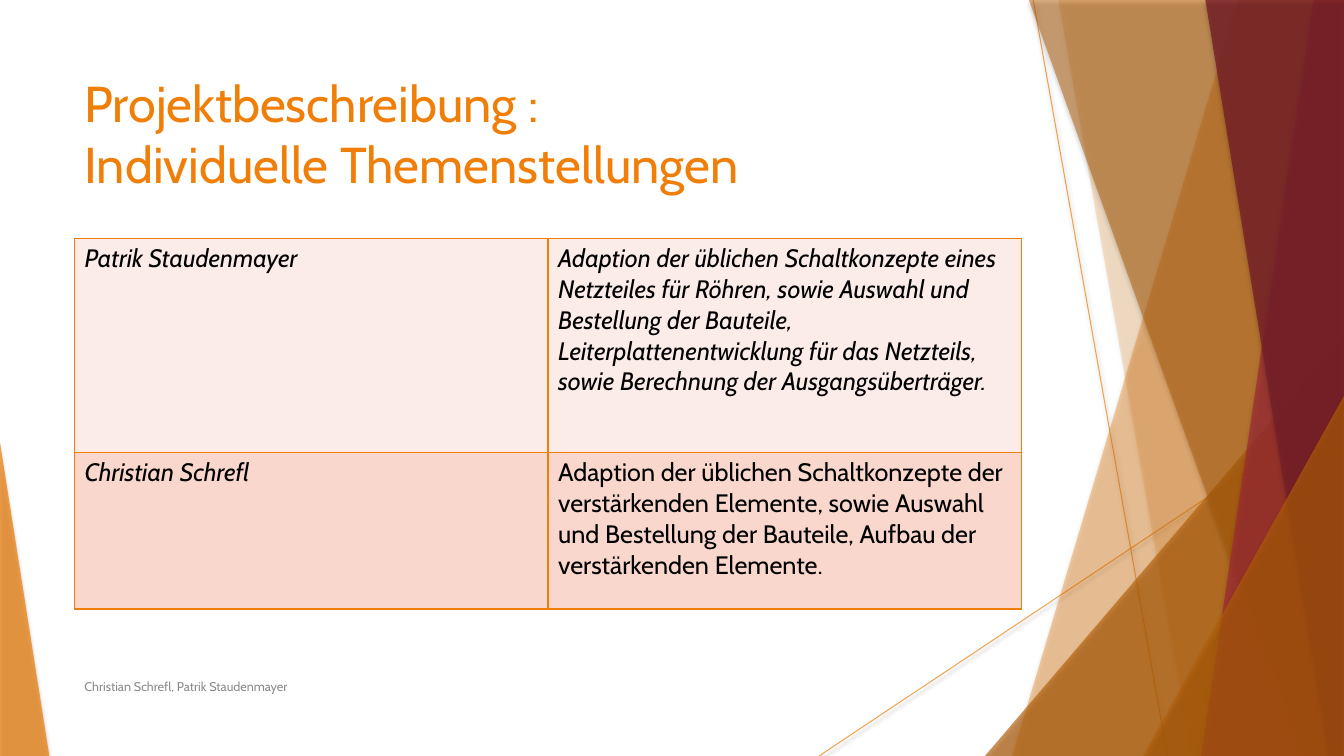
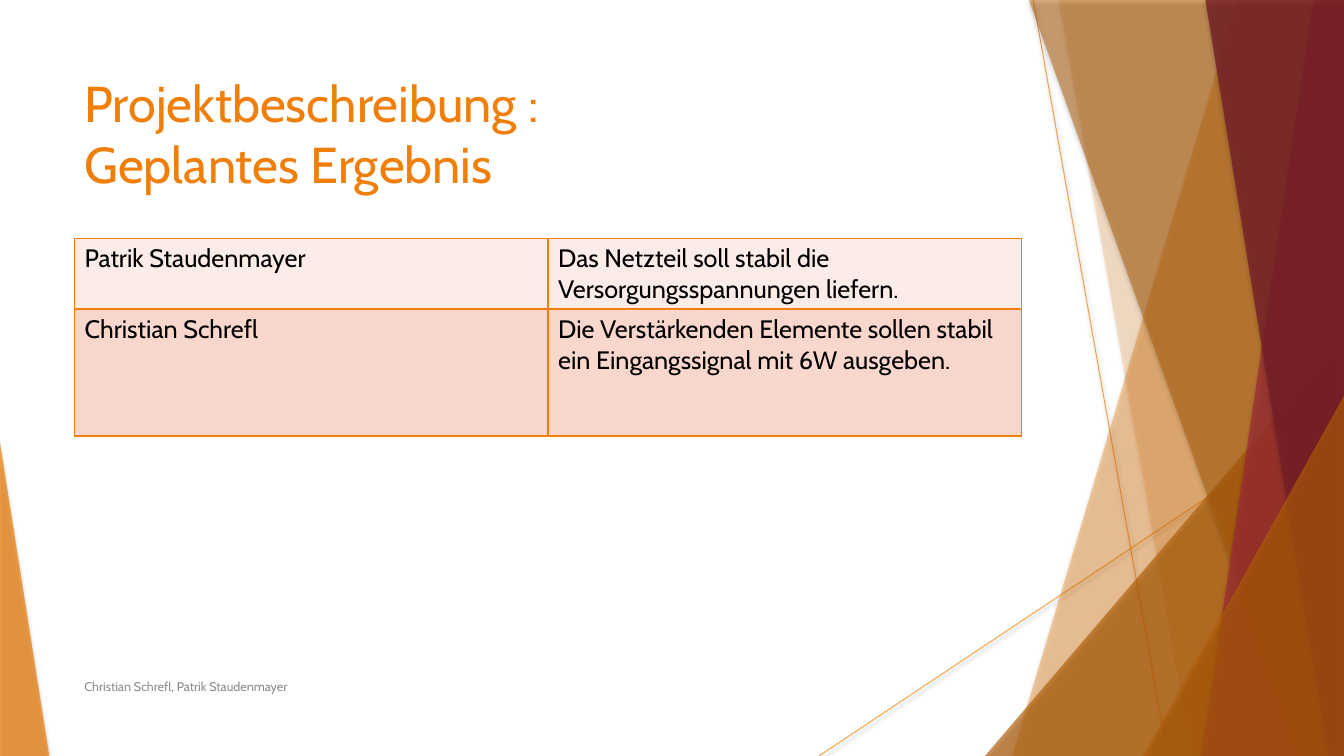
import pptx
import pptx.dml.color
import pptx.enum.shapes
import pptx.enum.text
import pptx.oxml
import pptx.oxml.ns
import pptx.util
from lxml import etree

RGBColor = pptx.dml.color.RGBColor
MSO_SHAPE = pptx.enum.shapes.MSO_SHAPE
MSO_ANCHOR = pptx.enum.text.MSO_ANCHOR
qn = pptx.oxml.ns.qn

ORANGE = RGBColor(0xF0, 0x7F, 0x09)
BROWN = RGBColor(0xB4, 0x5F, 0x07)
RED = RGBColor(0x9F, 0x29, 0x36)
WINE = RGBColor(0x77, 0x1F, 0x28)
BLACK = RGBColor(0, 0, 0)
GREY = RGBColor(0x8B, 0x8B, 0x8B)
ROW_FILLS = (RGBColor(0xFC, 0xEC, 0xE7), RGBColor(0xF9, 0xD7, 0xCC))

WIDTH, HEIGHT = 1280, 720
MARGIN, CONTENT_WIDTH = 71, 902
EMU_PER_PX = 9525


def px(length):
    return pptx.util.Emu(length * EMU_PER_PX)


class Deck:
    font = "Cabin"

    def __init__(self):
        self.presentation = pptx.Presentation()
        self.presentation.slide_width = px(WIDTH)
        self.presentation.slide_height = px(HEIGHT)
        self.slide = None

    def add_slide(self):
        blank = self.presentation.slide_layouts[6]
        self.slide = self.presentation.slides.add_slide(blank)

    def set_opacity(self, element, percent):
        color = next(element.iter(qn("a:srgbClr")))
        etree.SubElement(color, qn("a:alpha"), val=str(percent * 1000))

    def add_shadow(self, shape, opacity, blur, distance):
        effects = etree.SubElement(shape._element.spPr, qn("a:effectLst"))
        shadow = etree.SubElement(
            effects, qn("a:outerShdw"), blurRad=str(pptx.util.Pt(blur)),
            dist=str(pptx.util.Pt(distance)), dir="5400000", rotWithShape="0")
        etree.SubElement(shadow, qn("a:srgbClr"), val=str(BLACK))
        self.set_opacity(shadow, opacity)

    def paint(self, shape, color, opacity):
        shape.fill.solid()
        shape.fill.fore_color.rgb = color
        self.set_opacity(shape._element.spPr, opacity)
        shape.line.fill.background()
        self.add_shadow(shape, 35, 3, 2)

    def line(self, x1, y1, x2, y2):
        connector = self.slide.shapes.add_connector(
            pptx.enum.shapes.MSO_CONNECTOR.STRAIGHT,
            px(x1), px(y1), px(x2), px(y2))
        connector.line.color.rgb = ORANGE
        connector.line.width = pptx.util.Pt(0.75)
        self.set_opacity(connector._element.spPr, 70)
        self.add_shadow(connector, 38, 3.1, 1.6)

    def band(self, top_x, bottom_x, color, opacity):
        outline = self.slide.shapes.build_freeform(top_x, 0, scale=EMU_PER_PX)
        outline.add_line_segments(
            [(WIDTH, 0), (WIDTH, HEIGHT), (bottom_x, HEIGHT)], close=True)
        self.paint(outline.convert_to_shape(), color, opacity)

    def corner(self, x, y, width, apex, color, opacity):
        triangle = self.slide.shapes.add_shape(
            MSO_SHAPE.ISOSCELES_TRIANGLE,
            px(x), px(y), px(width), px(HEIGHT - y))
        triangle.adjustments[0] = apex
        self.paint(triangle, color, opacity)

    def backdrop(self):
        self.line(984, 0, 1112, HEIGHT)
        self.line(WIDTH, 387, 780, HEIGHT)
        self.band(1179, 964, ORANGE, 36)
        self.band(1008, 1135, ORANGE, 20)
        self.corner(938, 320, 342, 1, BROWN, 66)
        self.band(980, 1239, BROWN, 50)
        self.band(1251, 1144, RED, 70)
        self.band(1148, 1265, WINE, 80)
        self.corner(1089, 377, 191, 1, BROWN, 66)
        self.corner(0, 421, 47, 0, ORANGE, 70)

    def format_text(self, frame, size, color, italic=False):
        for paragraph in frame.paragraphs:
            for run in paragraph.runs:
                run.font.name = self.font
                run.font.size = pptx.util.Pt(size)
                run.font.color.rgb = color
                run.font.italic = italic

    def text(self, content, y, width, height, size, color, anchor):
        box = self.slide.shapes.add_textbox(
            px(MARGIN), px(y), px(width), px(height))
        frame = box.text_frame
        frame.word_wrap = True
        frame.vertical_anchor = anchor
        frame.text = content
        self.format_text(frame, size, color)

    def title(self, topic):
        self.text("Projektbeschreibung : \v" + topic, 64, CONTENT_WIDTH, 138,
                  36, ORANGE, MSO_ANCHOR.TOP)

    def footer(self):
        self.text("Christian Schrefl, Patrik Staudenmayer", 635, 661, 38,
                  9, GREY, MSO_ANCHOR.MIDDLE)

    def cell_borders(self, cell):
        properties = cell._tc.get_or_add_tcPr()
        for index, side in enumerate(("a:lnL", "a:lnR", "a:lnT", "a:lnB")):
            border = etree.Element(qn(side), w=str(pptx.util.Pt(0.96)))
            fill = etree.SubElement(border, qn("a:solidFill"))
            etree.SubElement(fill, qn("a:srgbClr"), val=str(ORANGE))
            properties.insert(index, border)

    def table(self, rows, heights, italic_cells):
        table = self.slide.shapes.add_table(
            len(rows), 2, px(MARGIN), px(227),
            px(CONTENT_WIDTH), px(sum(heights))).table
        for r, (contents, height) in enumerate(zip(rows, heights)):
            table.rows[r].height = px(height)
            for c, content in enumerate(contents):
                cell = table.cell(r, c)
                cell.text_frame.text = content
                self.format_text(cell.text_frame, 18, BLACK,
                                 (r, c) in italic_cells)
                cell.fill.solid()
                cell.fill.fore_color.rgb = ROW_FILLS[r % 2]
                self.cell_borders(cell)


def main():
    deck = Deck()
    assignments = (
        "Adaption der üblichen Schaltkonzepte eines Netzteiles für Röhren, "
        "sowie Auswahl und Bestellung der Bauteile, "
        "Leiterplattenentwicklung für das Netzteils, "
        "sowie Berechnung der Ausgangsüberträger.",
        "Adaption der üblichen Schaltkonzepte der verstärkenden Elemente, "
        "sowie Auswahl und Bestellung der Bauteile, "
        "Aufbau der verstärkenden Elemente.")
    results = (
        "Das Netzteil soll stabil die Versorgungsspannungen liefern.",
        "Die Verstärkenden Elemente sollen stabil ein Eingangssignal "
        "mit 6W ausgeben.")
    members = ("Patrik Staudenmayer", "Christian Schrefl")
    topics = (
        ("Individuelle Themenstellungen", assignments, (204, 149),
         {(0, 0), (0, 1), (1, 0)}),
        ("Geplantes Ergebnis", results, (65, 121), set()))
    for topic, descriptions, heights, italic_cells in topics:
        deck.add_slide()
        deck.backdrop()
        deck.title(topic)
        deck.table(list(zip(members, descriptions)), heights, italic_cells)
        deck.footer()
    deck.presentation.save("out.pptx")


if __name__ == "__main__":
    main()
